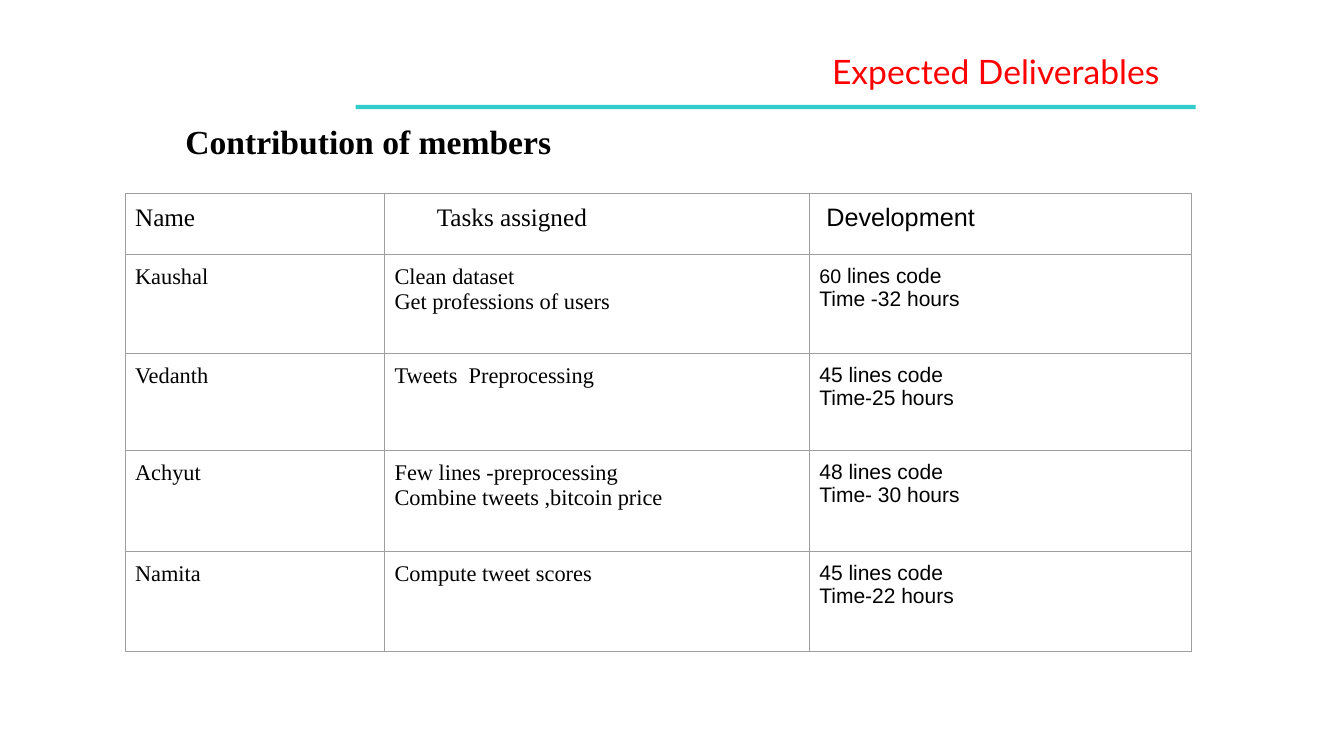
from dataclasses import dataclass

from lxml.etree import SubElement
from pptx import Presentation
from pptx.dml.color import RGBColor
from pptx.enum.shapes import MSO_SHAPE as Preset
from pptx.enum.text import PP_ALIGN as Align
from pptx.oxml.ns import qn
from pptx.util import Pt


@dataclass(frozen=True)
class Theme:
    red: str = "FF0000"
    teal: str = "33CCCC"
    black: str = "000000"
    grid: str = "9E9E9E"
    title_font: str = "Lato"
    serif: str = "Times New Roman"
    sans: str = "Arial"
    title: float = 24
    header: float = 18
    task: float = 16
    effort: float = 15
    small: float = 14
    inset: float = 7.2
    grid_width: float = 0.75


THEME = Theme()

COLUMN_WIDTHS = (185.4, 303.4, 272.9)
ROW_HEIGHTS = (43.4, 70.6, 69.4, 72, 72)
HEADER_INDENTS = (0, 30.2, 5)
HEADERS = ("Name", "Tasks assigned", "Development")
MEMBERS = (
    ("Kaushal", "Clean dataset\nGet professions of users",
     "60 lines code\nTime -32 hours"),
    ("Vedanth", "Tweets  Preprocessing", "45 lines code\nTime-25 hours"),
    ("Achyut", "Few lines -preprocessing\nCombine tweets ,bitcoin price",
     "48 lines code\nTime- 30 hours"),
    ("Namita", "Compute tweet scores", "45 lines code\nTime-22 hours"),
)


def style_span(span, font, size, color=THEME.black, bold=False):
    span.font.name = font
    span.font.size = Pt(size)
    span.font.color.rgb = RGBColor.from_string(color)
    span.font.bold = bold


def indent(para, amount):
    properties = para._p.get_or_add_pPr()
    properties.set("marL", str(Pt(amount)))
    properties.set("indent", "0")


def add_text(page, text, left, top, width, height, align, font, color, bold=False):
    box = page.shapes.add_textbox(Pt(left), Pt(top), Pt(width), Pt(height))
    box.text_frame.word_wrap = True
    box.text_frame.text = text
    para = box.text_frame.paragraphs[0]
    para.alignment = align
    style_span(para.runs[0], font, THEME.title, color, bold)
    return para


def add_rule(page, left, top, width, height):
    bar = page.shapes.add_shape(
        Preset.RECTANGLE, Pt(left), Pt(top), Pt(width), Pt(height))
    bar.shadow.inherit = False
    bar.fill.solid()
    bar.fill.fore_color.rgb = RGBColor.from_string(THEME.teal)
    bar.line.fill.background()


def add_borders(cell):
    properties = cell._tc.get_or_add_tcPr()
    for side in ("a:lnL", "a:lnR", "a:lnT", "a:lnB"):
        line = SubElement(properties, qn(side), w=str(Pt(THEME.grid_width)))
        fill = SubElement(line, qn("a:solidFill"))
        SubElement(fill, qn("a:srgbClr"), val=THEME.grid)


def fill_cell(cell, text, font, size):
    cell.margin_left = cell.margin_right = Pt(THEME.inset)
    cell.margin_top = cell.margin_bottom = Pt(THEME.inset)
    add_borders(cell)
    cell.fill.background()
    cell.text_frame.text = text
    for para in cell.text_frame.paragraphs:
        style_span(para.runs[0], font, size)


def add_member_table(page, left, top):
    table = page.shapes.add_table(
        len(ROW_HEIGHTS), len(COLUMN_WIDTHS), Pt(left), Pt(top),
        Pt(sum(COLUMN_WIDTHS)), Pt(sum(ROW_HEIGHTS))).table
    table.first_row = table.horz_banding = False
    for column, width in zip(table.columns, COLUMN_WIDTHS):
        column.width = Pt(width)
    for row, height in zip(table.rows, ROW_HEIGHTS):
        row.height = Pt(height)

    fonts = (THEME.serif, THEME.serif, THEME.sans)
    sizes = (THEME.task, THEME.task, THEME.effort)
    for column, text in enumerate(HEADERS):
        cell = table.cell(0, column)
        fill_cell(cell, text, fonts[column], THEME.header)
        indent(cell.text_frame.paragraphs[0], HEADER_INDENTS[column])
    for row, member in enumerate(MEMBERS, start=1):
        for column, text in enumerate(member):
            fill_cell(table.cell(row, column), text, fonts[column], sizes[column])
    return table


def shrink_first_number(para):
    """Set the leading number of a paragraph in the small size."""
    number, rest = para.text.split(" ", 1)
    para.runs[0].text = number
    para.runs[0].font.size = Pt(THEME.small)
    span = para.add_run()
    span.text = " " + rest
    style_span(span, THEME.sans, THEME.effort)


def main():
    deck = Presentation()
    deck.slide_width, deck.slide_height = Pt(960), Pt(540)
    page = deck.slides.add_slide(deck.slide_layouts[6])

    add_rule(page, 254, 75, 600, 3)
    add_text(page, "Expected Deliverables", 223.2, 33.1, 612, 36,
             Align.RIGHT, THEME.title_font, THEME.red)
    heading = add_text(page, "Contribution of members", 76.3, 82.8, 775.4, 36,
                       Align.JUSTIFY, THEME.serif, THEME.black, bold=True)
    indent(heading, 49)

    table = add_member_table(page, 89.3, 138.2)
    shrink_first_number(table.cell(1, 2).text_frame.paragraphs[0])

    deck.save("out.pptx")


if __name__ == "__main__":
    main()
